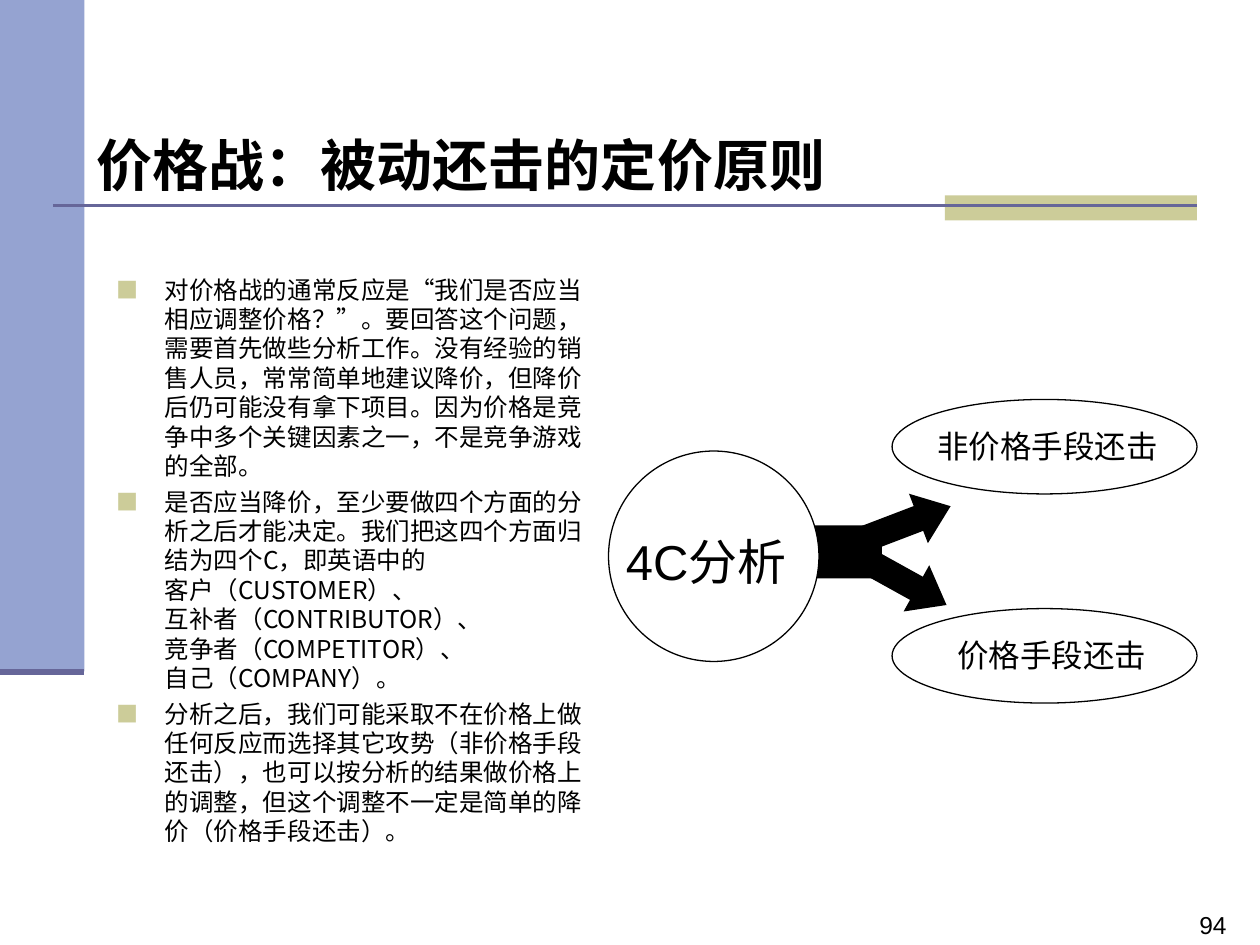
from lxml import etree
from pptx import Presentation
from pptx import util as u
from pptx.dml.color import RGBColor
from pptx.enum import shapes, text
from pptx.oxml import ns

IN = u.Inches
KIND = shapes.MSO_SHAPE
CJK = "Noto Sans CJK SC"
BLACK, WHITE = "000000", "FFFFFF"
BLUE, SLATE, KHAKI = "95A3D1", "666699", "CCCC99"

POINTS = [
    "对价格战的通常反应是“我们是否应当相应调整价格？”。要回答这个问题，需要首先做些分析工作。"
    "没有经验的销售人员，常常简单地建议降价，但降价后仍可能没有拿下项目。"
    "因为价格是竞争中多个关键因素之一，不是竞争游戏的全部。",
    "是否应当降价，至少要做四个方面的分析之后才能决定。我们把这四个方面归结为四个C，即英语中的\v"
    "客户（CUSTOMER）、\v互补者（CONTRIBUTOR）、\v竞争者（COMPETITOR）、\v自己（COMPANY）。",
    "分析之后，我们可能采取不在价格上做任何反应而选择其它攻势（非价格手段还击），"
    "也可以按分析的结果做价格上的调整，但这个调整不一定是简单的降价（价格手段还击）。",
]


def paint(value):
    return RGBColor.from_string(value)


def add(parent, tag, **attrs):
    return etree.SubElement(parent, ns.qn(tag), attrs)


class Deck:
    def __init__(self, slide, face="Arial", ink=BLACK):
        self.slide, self.face, self.ink = slide, face, ink

    def shape(self, kind, x, y, w, h, fill=None, line=None, turn=0):
        item = self.slide.shapes.add_shape(kind, IN(x), IN(y), IN(w), IN(h))
        item.shadow.inherit = False
        item.rotation = turn
        if fill:
            item.fill.solid()
            item.fill.fore_color.rgb = paint(fill)
        else:
            item.fill.background()
        if line:
            item.line.color.rgb = paint(line)
            item.line.width = u.Pt(0.75)
        else:
            item.line.fill.background()
        return item

    def rule(self, x, y, end, width):
        """Draw a horizontal line from x to end."""
        item = self.slide.shapes.add_connector(
            shapes.MSO_CONNECTOR.STRAIGHT, IN(x), IN(y), IN(end), IN(y))
        item.line.color.rgb = paint(SLATE)
        item.line.width = u.Pt(width)
        add(item._element.spPr, "a:effectLst")

    def arrow(self, y, turn):
        item = self.shape(KIND.RIGHT_ARROW, 6.5, y, 1.08, 0.42, BLACK, turn=turn)
        item.adjustments[1] = 0.65

    def frame(self, x, y, w, h, wrap):
        box = self.slide.shapes.add_textbox(IN(x), IN(y), IN(w), IN(h))
        box.text_frame.word_wrap = wrap
        return box.text_frame

    def style(self, para, size, face, bold=False):
        font = para.font
        font.size, font.name, font.bold = u.Pt(size), face, bold
        font.color.rgb = paint(self.ink)
        add(para._p.pPr.find(ns.qn("a:defRPr")), "a:ea", typeface=CJK)

    def label(self, words, x, y, w, h, size, bold=False):
        frame = self.frame(x, y, w, h, False)
        frame.vertical_anchor = text.MSO_ANCHOR.MIDDLE
        para = frame.paragraphs[0]
        para.text = words
        self.style(para, size, self.face, bold)

    def bullets(self, items, x, y, w, h, size):
        frame = self.frame(x, y, w, h, True)
        for i, words in enumerate(items):
            para = frame.add_paragraph() if i else frame.paragraphs[0]
            para.text = words
            para.line_spacing = u.Pt(16.8)
            if i:
                para.space_before = u.Pt(3.5)
            props = para._p.get_or_add_pPr()
            props.set("marL", str(IN(0.38)))
            props.set("indent", str(-IN(0.38)))
            add(add(props, "a:buClr"), "a:srgbClr", val=KHAKI)
            add(props, "a:buSzPct", val="90000")
            add(props, "a:buFont", typeface=CJK)
            add(props, "a:buChar", char="■")
            self.style(para, size, CJK)


def main():
    prs = Presentation()
    prs.slide_width, prs.slide_height = IN(10), IN(7.5)
    deck = Deck(prs.slides.add_slide(prs.slide_layouts[6]))

    deck.shape(KIND.RECTANGLE, 0, 0, 0.67, 5.33, BLUE)
    deck.shape(KIND.RECTANGLE, 7.5, 1.55, 2, 0.2, KHAKI)
    deck.rule(0.42, 1.63, 9.5, 1.5)
    deck.rule(0, 5.33, 0.67, 3.5)
    deck.label("94", 9.42, 7.17, 0.83, 0.34, 14)

    deck.label("价格战：被动还击的定价原则", 0.67, 0.99, 6.58, 0.63, 32, True)
    deck.bullets(POINTS, 0.83, 2.13, 4, 4.96, 14)

    deck.shape(KIND.RECTANGLE, 6.33, 4.17, 0.67, 0.42, BLACK)
    deck.shape(KIND.OVAL, 4.83, 3.58, 1.67, 1.67, WHITE, BLACK)
    deck.label("4C分析", 4.87, 4.17, 1.56, 0.57, 28)
    for words, x, y, w in (("非价格手段还击", 7.34, 3.17, 1.95),
                           ("价格手段还击", 7.5, 4.83, 1.7)):
        deck.shape(KIND.OVAL, 7.08, y, 2.42, 0.75, line=BLACK)
        deck.label(words, x, y + 0.17, w, 0.4, 18)
    deck.arrow(4.33, 29)
    deck.arrow(4, 339.1)

    prs.save("out.pptx")


if __name__ == "__main__":
    main()
